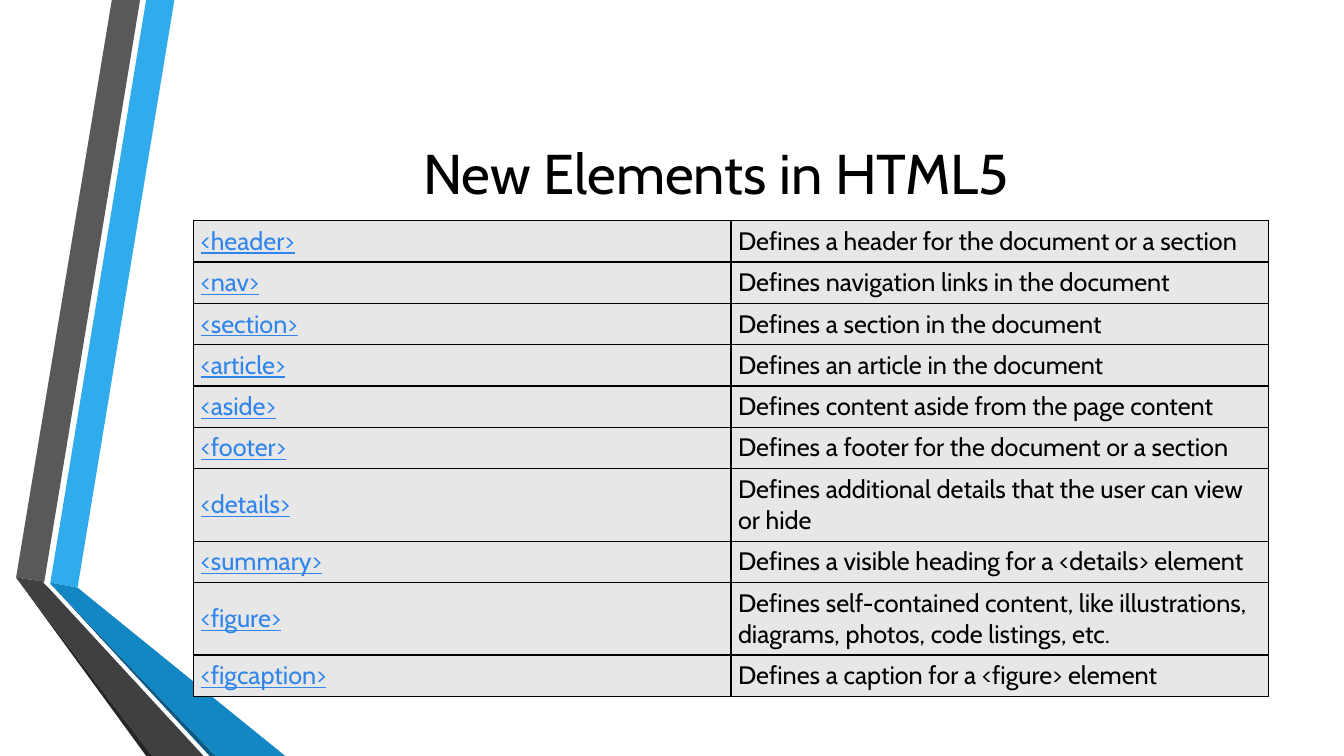
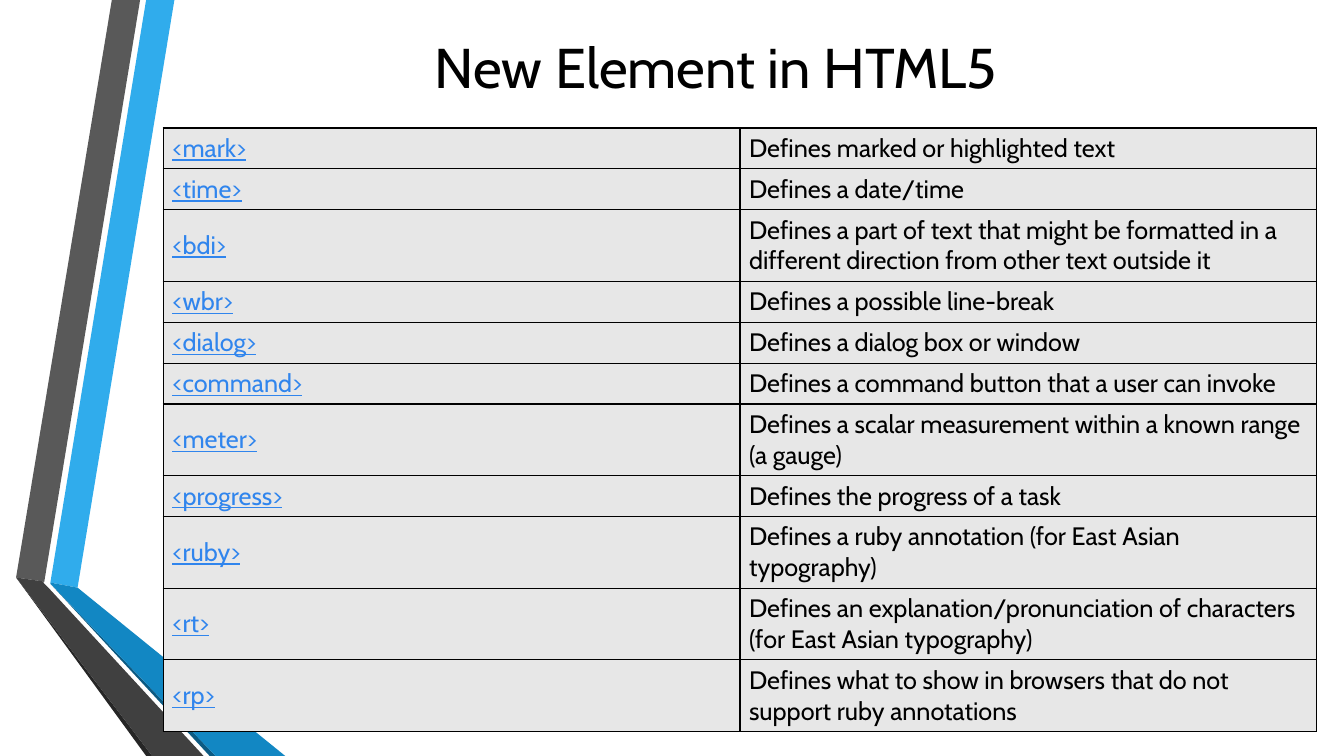
from dataclasses import dataclass

from lxml.etree import SubElement
from pptx import Presentation
from pptx.dml.color import RGBColor
from pptx.enum.text import MSO_ANCHOR, MSO_AUTO_SIZE, PP_ALIGN
from pptx.oxml.ns import qn
from pptx.util import Inches, Pt


@dataclass(frozen=True)
class Theme:
    font: str = "Cabin"
    title_size: int = 40
    body_size: int = 18
    border_width: int = 1
    text: str = "000000"
    link: str = "3085ED"
    cell: str = "E7E7E7"
    border: str = "000000"
    blue: str = "30ACEC"
    blue_fold: str = "1287C3"
    blue_edge: str = "0C5A82"
    grey: str = "595959"
    grey_fold: str = "404040"
    grey_edge: str = "262626"


THEME = Theme()

# Ribbon facets: colour and corner points in inches, back to front
RIBBON = [
    (THEME.blue, [(0.5, 5.78), (0.77, 5.83), (1.73, 0), (1.45, 0)]),
    (THEME.grey, [(1.39, 0), (1.11, 0), (0.16, 5.73), (0.44, 5.77)]),
    (THEME.grey_edge, [(0.16, 5.73), (1.45, 7.5), (1.51, 7.5)]),
    (THEME.blue_edge, [(0.5, 5.79), (2.08, 7.5), (2.14, 7.5)]),
    (THEME.blue_fold, [(0.5, 5.79), (2.14, 7.5), (2.83, 7.5), (0.77, 5.83), (0.5, 5.78)]),
    (THEME.grey_fold, [(2.02, 7.5), (0.48, 5.83), (0.43, 5.78), (0.44, 5.77),
                       (0.16, 5.73), (1.51, 7.5)]),
]

# Table rows: element, description, number of text lines
STRUCTURE_ROWS = [
    ("<header>", "Defines a header for the document or a section", 1),
    ("<nav>", "Defines navigation links in the document", 1),
    ("<section>", "Defines a section in the document", 1),
    ("<article>", "Defines an article in the document", 1),
    ("<aside>", "Defines content aside from the page content", 1),
    ("<footer>", "Defines a footer for the document or a section", 1),
    ("<details>", "Defines additional details that the user can view or hide", 2),
    ("<summary>", "Defines a visible heading for a <details> element", 1),
    ("<figure>", "Defines self-contained content, like illustrations, diagrams, "
                 "photos, code listings, etc.", 2),
    ("<figcaption>", "Defines a caption for a <figure> element", 1),
]
INLINE_ROWS = [
    ("<mark>", "Defines marked or highlighted text", 1),
    ("<time>", "Defines a date/time", 1),
    ("<bdi>", "Defines a part of text that might be formatted in a different "
              "direction from other text outside it", 2),
    ("<wbr>", "Defines a possible line-break", 1),
    ("<dialog>", "Defines a dialog box or window", 1),
    ("<command>", "Defines a command button that a user can invoke", 1),
    ("<meter>", "Defines a scalar measurement within a known range (a gauge)", 2),
    ("<progress>", "Defines the progress of a task", 1),
    ("<ruby>", "Defines a ruby annotation (for East Asian typography)", 2),
    ("<rt>", "Defines an explanation/pronunciation of characters "
             "(for East Asian typography)", 2),
    ("<rp>", "Defines what to show in browsers that do not support ruby annotations", 2),
]


def write_text(frame, text, size=THEME.body_size, color=THEME.text,
               underline=False, align=PP_ALIGN.LEFT):
    para = frame.paragraphs[0]
    para.alignment = align
    span = para.add_run()
    span.text = text
    span.font.name = THEME.font
    span.font.size = Pt(size)
    span.font.color.rgb = RGBColor.from_string(color)
    span.font.underline = underline


def add_ribbon(deck, page):
    """Draw the folded ribbon on a page, then move it to the shared master."""
    ribbon = page.shapes.add_group_shape()
    for color, points in RIBBON:
        corners = [(Inches(x), Inches(y)) for x, y in points]
        builder = ribbon.shapes.build_freeform(*corners[0])
        builder.add_line_segments(corners[1:], close=True)
        facet = builder.convert_to_shape()
        facet.shadow.inherit = False
        facet.fill.solid()
        facet.fill.fore_color.rgb = RGBColor.from_string(color)
        facet.line.fill.background()
    master = deck.slide_master
    master.shapes.element.insert(2, ribbon.element)
    # Keep shape numbers unique on the master
    for number, node in enumerate(master.element.iter(qn("p:cNvPr")), start=1):
        node.set("id", str(number))


def add_page(deck, title, title_top):
    page = deck.slides.add_slide(deck.slide_layouts[5])
    box = page.shapes.title
    box.left, box.top = Inches(1.62), Inches(title_top)
    box.width, box.height = Inches(10.96), Inches(1.92)
    frame = box.text_frame
    frame.word_wrap = True
    frame.auto_size = MSO_AUTO_SIZE.NONE
    frame.vertical_anchor = MSO_ANCHOR.MIDDLE
    write_text(frame, title, size=THEME.title_size, align=PP_ALIGN.CENTER)
    return page


def add_borders(table_frame):
    for properties in table_frame.element.iter(qn("a:tcPr")):
        for position, side in enumerate(("a:lnL", "a:lnR", "a:lnT", "a:lnB")):
            line = SubElement(properties, qn(side), w=str(Pt(THEME.border_width)))
            fill = SubElement(line, qn("a:solidFill"))
            SubElement(fill, qn("a:srgbClr"), val=THEME.border)
            properties.insert(position, line)


def add_element_table(page, rows, left, top, width, line_heights, margins):
    """line_heights gives the row height for each number of text lines."""
    height = sum(line_heights[lines] for _, _, lines in rows)
    table_frame = page.shapes.add_table(
        len(rows), 2, Inches(left), Inches(top), Inches(width), Inches(height))
    table = table_frame.table
    table.first_row = table.horz_banding = False
    side, edge = (Inches(margin) for margin in margins)
    for index, (element, description, lines) in enumerate(rows):
        table.rows[index].height = Inches(line_heights[lines])
        cells = table.rows[index].cells
        for cell in cells:
            cell.fill.solid()
            cell.fill.fore_color.rgb = RGBColor.from_string(THEME.cell)
            cell.vertical_anchor = MSO_ANCHOR.MIDDLE
            cell.margin_left = cell.margin_right = side
            cell.margin_top = cell.margin_bottom = edge
        write_text(cells[0].text_frame, element, color=THEME.link, underline=True)
        write_text(cells[1].text_frame, description)
    add_borders(table_frame)


def main():
    deck = Presentation()
    deck.slide_width, deck.slide_height = Inches(13.33), Inches(7.5)

    # Structural elements
    page = add_page(deck, "New Elements in HTML5", title_top=0.75)
    add_ribbon(deck, page)
    add_element_table(page, STRUCTURE_ROWS, left=1.92, top=2.19, width=10.66,
                      line_heights={1: 0.41, 2: 0.72}, margins=(0.07, 0.04))

    # Inline and interactive elements
    page = add_page(deck, "New Element in HTML5", title_top=-0.3)
    add_element_table(page, INLINE_ROWS, left=1.62, top=1.27, width=11.44,
                      line_heights={1: 0.4, 2: 0.7}, margins=(0.09, 0.05))

    deck.save("out.pptx")


if __name__ == "__main__":
    main()
